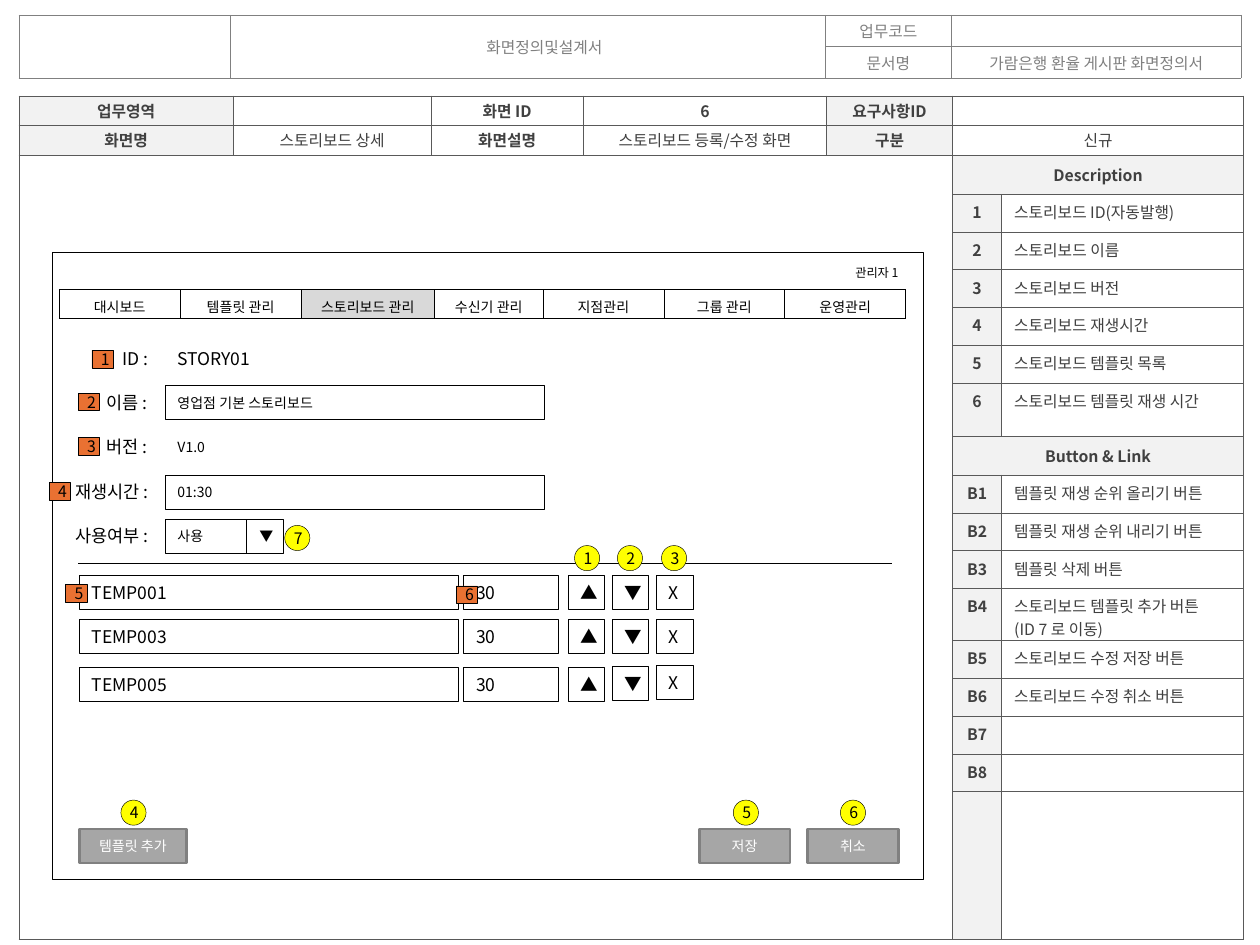
from dataclasses import dataclass

from lxml import etree
from pptx import Presentation
from pptx.dml.color import RGBColor
from pptx.enum import shapes, text
from pptx.oxml.ns import qn
from pptx.util import Inches, Pt


@dataclass(frozen=True)
class Theme:
    font: str = "Noto Sans CJK KR"
    black: str = "000000"
    white: str = "FFFFFF"
    grey: str = "808080"
    dark: str = "404040"
    rule: str = "595959"
    label: str = "F2F2F2"
    active: str = "D9D9D9"
    button: str = "A6A6A6"
    orange: str = "E97132"
    yellow: str = "FFFF00"
    tiny: int = 7
    small: int = 8
    body: int = 9
    large: int = 10


T = Theme()
LEFT, CENTER = text.PP_ALIGN.LEFT, text.PP_ALIGN.CENTER
MIDDLE = text.MSO_ANCHOR.MIDDLE
RECT, OVAL = shapes.MSO_SHAPE.RECTANGLE, shapes.MSO_SHAPE.OVAL


def write(tf, content, size, color, align=LEFT, bold=False):
    for i, line in enumerate(content.split("\n")):
        p = tf.add_paragraph() if i else tf.paragraphs[0]
        p.alignment = align
        r = p.add_run()
        r.text = line
        r.font.size = Pt(size)
        r.font.bold = bold
        r.font.color.rgb = RGBColor.from_string(color)
        r.font.name = T.font
        etree.SubElement(r._r.get_or_add_rPr(), qn("a:ea"), typeface=T.font)


def make_table(x, y, cols, rows, border, width, merges=()):
    """Add a white table with uniform borders and small empty cells."""
    frame = s.shapes.add_table(len(rows), len(cols), Inches(x), Inches(y),
                               Inches(sum(cols)), Inches(sum(rows)))
    table = frame.table
    table.first_row = table.horz_banding = False
    for col, w in zip(table.columns, cols):
        col.width = Inches(w)
    for row, h in zip(table.rows, rows):
        row.height = Inches(h)
    for cell in table.iter_cells():
        cell.margin_top = cell.margin_bottom = 0
        for side in ("a:lnL", "a:lnR", "a:lnT", "a:lnB"):
            ln = etree.SubElement(cell._tc.get_or_add_tcPr(), qn(side), w=str(Pt(width)))
            fill = etree.SubElement(ln, qn("a:solidFill"))
            etree.SubElement(fill, qn("a:srgbClr"), val=border)
        cell.fill.solid()
        cell.fill.fore_color.rgb = RGBColor.from_string(T.white)
        etree.SubElement(cell.text_frame.paragraphs[0]._p, qn("a:endParaRPr"),
                         sz=str(T.small * 100))
    for first, last in merges:
        table.cell(*first).merge(table.cell(*last))
    return table


prs = Presentation()
prs.slide_width, prs.slide_height = Inches(10), Inches(7.5)
s = prs.slides.add_slide(prs.slide_layouts[6])

# Document header
header = make_table(0.15, 0.12, [1.68, 4.72, 1, 2.3], [0.25] * 2, T.grey, 0.25,
                    [((0, 0), (1, 0)), ((0, 1), (1, 1))])
header.cell(0, 1).margin_left = Inches(0.36)
for row, col, content in [(0, 1, "화면정의및설계서"), (0, 2, "업무코드"), (1, 2, "문서명"),
                          (1, 3, "가람은행 환율 게시판 화면정의서")]:
    cell = header.cell(row, col)
    cell.vertical_anchor = MIDDLE
    write(cell.text_frame, content, T.body, T.grey, CENTER)

# Screen definition with description column
top_rows = [["업무영역", "", "화면 ID", "6", "요구사항ID", ""],
            ["화면명", "스토리보드 상세", "화면설명", "스토리보드 등록/수정 화면", "구분", "신규"]]
side_rows = [
    ("Description", None),
    ("1", "스토리보드 ID(자동발행)"), ("2", "스토리보드 이름"), ("3", "스토리보드 버전"),
    ("4", "스토리보드 재생시간"), ("5", "스토리보드 템플릿 목록"),
    ("6", "스토리보드 템플릿 재생 시간"),
    ("Button & Link", None),
    ("B1", "템플릿 재생 순위 올리기 버튼"), ("B2", "템플릿 재생 순위 내리기 버튼"),
    ("B3", "템플릿 삭제 버튼"), ("B4", "스토리보드 템플릿 추가 버튼\n(ID 7 로 이동)"),
    ("B5", "스토리보드 수정 저장 버튼"), ("B6", "스토리보드 수정 취소 버튼"),
    ("B7", ""), ("B8", ""), ("", ""),
]
heights = [0.23, 0.24, 0.31] + [0.3] * 5 + [0.42, 0.31] + [0.3] * 3 + [0.41] + [0.3] * 4 + [1.17]
main = make_table(0.15, 0.76, [1.7, 1.57, 1.21, 1.93, 1, 0.39, 1.92], heights, T.rule, 0.25,
                  [((0, 5), (0, 6)), ((1, 5), (1, 6)), ((2, 0), (18, 4)),
                   ((2, 5), (2, 6)), ((9, 5), (9, 6))])
for row, contents in enumerate(top_rows):
    for col, content in enumerate(contents):
        cell = main.cell(row, col)
        cell.vertical_anchor = MIDDLE
        if col in (0, 4):
            cell.fill.fore_color.rgb = RGBColor.from_string(T.label)
        if content:
            write(cell.text_frame, content, T.body, T.dark, CENTER, row == 0 or col % 2 == 0)
for row, (label, content) in enumerate(side_rows, start=2):
    cell = main.cell(row, 5)
    cell.fill.fore_color.rgb = RGBColor.from_string(T.label)
    if content is None:
        cell.vertical_anchor = MIDDLE
    else:
        cell.margin_left = cell.margin_right = Inches(0.04)
        cell.margin_top = Inches(0.05)
    if label:
        write(cell.text_frame, label, T.body, T.dark, CENTER, True)
    if content:
        note = main.cell(row, 6)
        note.margin_top = Inches(0.05)
        write(note.text_frame, content, T.body, T.dark)

# Screen mock-up: kind -> shape, fill, line, line width, text size, text colour, align, bold
STYLES = {
    "field": (RECT, T.white, T.black, 0.5, T.large, T.black, LEFT, False),
    "arrow": (RECT, T.white, T.black, 0.5, T.large, T.black, LEFT, True),
    "input": (RECT, T.white, T.black, 0.5, T.small, T.black, LEFT, False),
    "id": (RECT, T.white, T.white, 0.5, T.large, T.black, LEFT, False),
    "value": (RECT, T.white, T.white, 0.5, T.small, T.black, LEFT, False),
    "button": (RECT, T.button, T.grey, 1.5, T.small, T.white, CENTER, False),
    "tag": (RECT, T.orange, T.black, 0.25, T.body, T.black, CENTER, False),
    "dot": (OVAL, T.yellow, T.black, 0.25, T.body, T.black, CENTER, False),
}
H = 0.27
boxes = [("field", 0.42, 2, 6.91, 4.98, ""),
         ("id", 1.31, 2.71, 3.01, H, "STORY01"),
         ("input", 1.31, 3.06, 3.01, H, "영업점 기본 스토리보드"),
         ("value", 1.31, 3.41, 3.01, H, "V1.0"),
         ("input", 1.31, 3.77, 3.01, H, "01:30"),
         ("input", 1.31, 4.12, 0.83, H, "사용"),
         ("input", 1.96, 4.12, 0.29, H, "▼"),
         ("rule", 0.62, 4.47, 6.46, 0, "")]
for name, y, arrow_y, delete_y in [("TEMP001", 4.57, 4.57, 4.57), ("TEMP003", 4.92, 4.92, 4.92),
                                   ("TEMP005", 5.3, 5.29, 5.28)]:
    boxes += [("field", 0.63, y, 3.01, H, name),
              ("field", 3.68, y, 0.75, H, "30"),
              ("arrow", 4.51, y, 0.29, H, "▲"),
              ("field", 4.86, arrow_y, 0.29, H, "▼"),
              ("field", 5.21, delete_y, 0.29, H, "X")]
boxes += [("button", x, 6.58, w, H, name)
          for x, w, name in [(0.63, 0.85, "템플릿 추가"), (5.55, 0.72, "저장"), (6.41, 0.72, "취소")]]
tags = [(0.73, 2.78), (0.62, 3.12), (0.62, 3.47), (0.39, 3.83), (0.52, 4.64), (3.62, 4.65)]
dots = [(4.56, 4.33), (4.9, 4.33), (5.25, 4.33), (0.96, 6.35), (5.82, 6.35), (6.67, 6.35),
        (2.26, 4.17)]
boxes += [("tag", x, y, 0.17, 0.14, str(n)) for n, (x, y) in enumerate(tags, start=1)]
boxes += [("dot", x, y, 0.2, 0.2, str(n)) for n, (x, y) in enumerate(dots, start=1)]

for kind, x, y, w, h, content in boxes:
    if kind == "rule":
        rule = s.shapes.add_connector(shapes.MSO_CONNECTOR.STRAIGHT, Inches(x), Inches(y),
                                      Inches(x + w), Inches(y))
        rule.line.color.rgb = RGBColor.from_string(T.black)
        rule.line.width = Pt(0.75)
        etree.SubElement(rule._element.spPr, qn("a:effectLst"))
        continue
    shape, fill, line, width, size, color, align, bold = STYLES[kind]
    sp = s.shapes.add_shape(shape, Inches(x), Inches(y), Inches(w), Inches(h))
    sp.shadow.inherit = False
    sp.fill.solid()
    sp.fill.fore_color.rgb = RGBColor.from_string(fill)
    sp.line.color.rgb = RGBColor.from_string(line)
    sp.line.width = Pt(width)
    sp.text_frame.vertical_anchor = MIDDLE
    if content:
        write(sp.text_frame, content, size, color, align, bold)

for x, y, w, h, size, content in [
        (6.69, 2.06, 0.59, 0.22, T.tiny, "관리자 1"), (0.87, 2.71, 0.42, H, T.large, "ID :"),
        (0.75, 3.06, 0.56, H, T.large, "이름 :"), (0.75, 3.41, 0.56, H, T.large, "버전 :"),
        (0.5, 3.77, 0.84, H, T.large, "재생시간 :"), (0.5, 4.12, 0.84, H, T.large, "사용여부 :")]:
    tf = s.shapes.add_textbox(Inches(x), Inches(y), Inches(w), Inches(h)).text_frame
    tf.word_wrap = False
    tf.auto_size = text.MSO_AUTO_SIZE.SHAPE_TO_FIT_TEXT
    write(tf, content, size, T.black)

# Navigation menu
menu = ["대시보드", "템플릿 관리", "스토리보드 관리", "수신기 관리", "지점관리", "그룹 관리", "운영관리"]
nav = make_table(0.47, 2.3, [0.96, 0.96, 1.06, 0.86] + [0.96] * 3, [0.23], T.black, 0.5)
for col, name in enumerate(menu):
    cell = nav.cell(0, col)
    cell.margin_top = Inches(0.05)
    write(cell.text_frame, name, T.small, T.black, CENTER)
nav.cell(0, 2).fill.fore_color.rgb = RGBColor.from_string(T.active)

prs.save("out.pptx")
